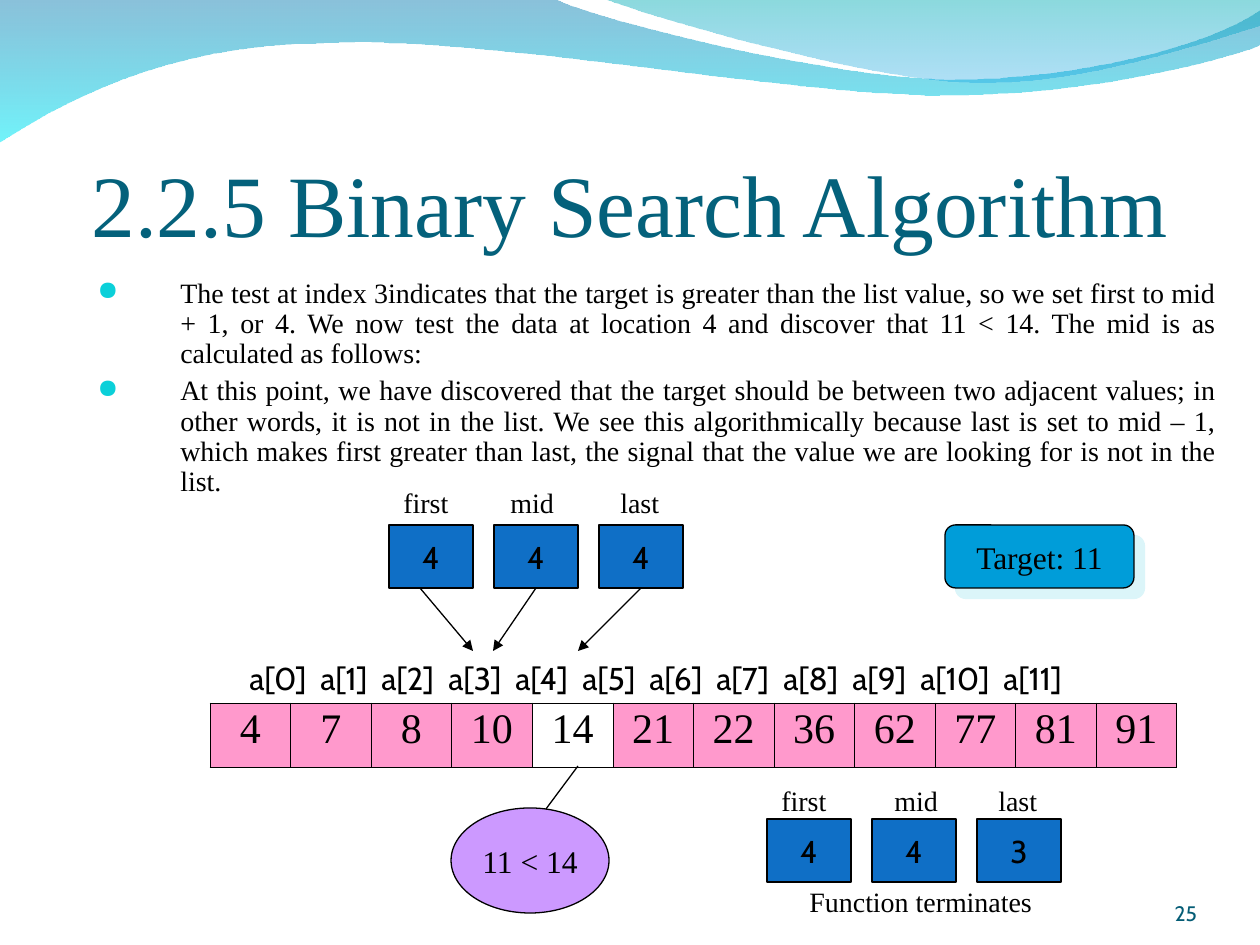
import lxml.etree
import pptx
import pptx.dml.color
import pptx.enum.shapes
import pptx.enum.text
import pptx.oxml.ns
import pptx.util
from dataclasses import dataclass

qn = pptx.oxml.ns.qn
ALIGN = pptx.enum.text.PP_ALIGN
ANCHOR = pptx.enum.text.MSO_ANCHOR
SHAPE = pptx.enum.shapes.MSO_SHAPE
rgb = pptx.dml.color.RGBColor.from_string


@dataclass
class Theme:
    serif: str = "Times New Roman"
    sans: str = "Cabin"
    symbol: str = "OpenSymbol"
    ink: str = "000000"
    title: str = "04617B"
    number: str = "045C75"
    bullet: str = "0BD0D9"
    box: str = "0F6FC6"
    target: str = "009DD9"
    shadow: str = "DBF5F9"
    bubble: str = "CC99FF"
    cell: str = "FF99CC"
    title_size: int = 50
    cell_size: int = 24
    shape_size: int = 18
    text_size: int = 16
    number_size: int = 12


theme = Theme()


def px(count):
    return round(count * 914400 / 126)


def write(frame, text, size, font, color=theme.ink, align=ALIGN.LEFT,
          anchor=ANCHOR.TOP, wrap=False):
    frame.text = text
    frame.word_wrap = wrap
    frame.auto_size = pptx.enum.text.MSO_AUTO_SIZE.NONE
    frame.vertical_anchor = anchor
    for para in frame.paragraphs:
        para.alignment = align
        for span in para.runs:
            span.font.size = pptx.util.Pt(size)
            span.font.name = font
            span.font.color.rgb = rgb(color)


deck = pptx.Presentation()
deck.slide_width, deck.slide_height = px(1260), px(945)
page = deck.slides.add_slide(deck.slide_layouts[5])
shapes = page.shapes

# Header waves: start point, then lines (one point) and Bezier curves (three points)
waves = [
    ((0, -1), [[(554, -1)],
               [(600, 21), (837, 79), (955, 79)],
               [(1075, 79), (1207, 47), (1260, 11)],
               [(1261, 45)],
               [(1239, 55), (1096, 96), (940, 95)],
               [(784, 95), (481, 35), (324, 43)],
               [(163, 44), (58, 105), (-1, 142)]],
     [("0079AF", 46), ("00EBF8", 56)]),
    ((604, -1), [[(641, 14), (859, 78), (969, 82)],
                 [(1079, 87), (1211, 40), (1260, 26)],
                 [(1260, 0)]],
     [("00ADB6", 46), ("009BE5", 31)]),
]
for start, segments, stops in waves:
    builder = shapes.build_freeform(px(start[0]), px(start[1]), scale=1.0)
    builder.add_line_segments([(px(x), px(y)) for segment in segments for x, y in segment],
                              close=True)
    wave = builder.convert_to_shape()
    steps = iter(list(wave.element.iter(qn("a:lnTo"))))
    for segment in segments:
        group = [next(steps) for _ in segment]
        if len(group) == 3:
            curve = lxml.etree.Element(qn("a:cubicBezTo"))
            group[0].addprevious(curve)
            for step in group:
                curve.append(step[0])
                step.getparent().remove(step)
    wave.shadow.inherit = False
    wave.line.fill.background()
    wave.fill.gradient()
    wave.fill.gradient_angle = 270
    for stop, (color, _) in zip(wave.fill.gradient_stops, stops):
        stop.color.rgb = rgb(color)
    for node, (_, opacity) in zip(wave.element.spPr.iter(qn("a:srgbClr")), stops):
        lxml.etree.SubElement(node, qn("a:alpha")).set("val", str(opacity * 1000))

# Title, in front of the waves
title = shapes.title
shapes.element.append(title.element)
title.left, title.top, title.width, title.height = px(63), px(98), px(1134), px(157)
frame = title.text_frame
write(frame, "2.2.5 Binary Search Algorithm", theme.title_size, theme.serif,
      theme.title, ALIGN.CENTER, ANCHOR.BOTTOM, wrap=True)
frame.margin_left = frame.margin_right = frame.margin_bottom = 0
frame.margin_top = px(6)

# Bulleted explanation
body = shapes.add_textbox(px(85), px(273), px(1144), px(567)).text_frame
write(body, "The test at index 3indicates that the target is greater than the list value, "
      "so we set first to mid + 1, or 4. We now test the data at location 4 and discover "
      "that 11 < 14. The mid is as calculated as follows:\n"
      "At this point, we have discovered that the target should be between two adjacent "
      "values; in other words, it is not in the list. We see this algorithmically because "
      "last is set to mid – 1, which makes first greater than last, the signal that the "
      "value we are looking for is not in the list.",
      theme.text_size, theme.serif, align=ALIGN.JUSTIFY, wrap=True)
for index, para in enumerate(body.paragraphs):
    para.line_spacing = 0.9
    para.space_before = pptx.util.Pt(4 if index else 0)
    properties = para._p.get_or_add_pPr()
    properties.set("marL", str(px(83)))
    properties.set("indent", str(-px(83)))
    bullet_color = lxml.etree.SubElement(properties, qn("a:buClr"))
    lxml.etree.SubElement(bullet_color, qn("a:srgbClr")).set("val", theme.bullet)
    lxml.etree.SubElement(properties, qn("a:buSzPct")).set("val", "95000")
    lxml.etree.SubElement(properties, qn("a:buFont")).set("typeface", theme.symbol)
    lxml.etree.SubElement(properties, qn("a:buChar")).set("char", "●")

# Slide number
frame = shapes.add_textbox(px(1092), px(876), px(105), px(50)).text_frame
write(frame, "25", theme.number_size, theme.sans, theme.number, ALIGN.RIGHT, ANCHOR.BOTTOM)
frame.margin_left = frame.margin_top = frame.margin_right = frame.margin_bottom = 0

# Array values, with the tested one left clear
values = [4, 7, 8, 10, 14, 21, 22, 36, 62, 77, 81, 91]
tested = 14
table = shapes.add_table(1, len(values), px(210), px(703), px(967), px(64)).table
table.first_row = table.horz_banding = False
for column, value in enumerate(values):
    table.columns[column].width = px(967) // len(values)
    cell = table.cell(0, column)
    write(cell.text_frame, str(value), theme.cell_size, theme.serif,
          align=ALIGN.CENTER, wrap=True)
    cell.text_frame.paragraphs[0].line_spacing = 0.93
    properties = cell._tc.get_or_add_tcPr()
    for side in "LRTB":
        outer = side in "TB" or (side, column) in (("L", 0), ("R", len(values) - 1))
        border = lxml.etree.SubElement(properties, qn(f"a:ln{side}"))
        border.set("w", str(pptx.util.Pt(0.5 if outer else 0.23)))
        paint = lxml.etree.SubElement(border, qn("a:solidFill"))
        lxml.etree.SubElement(paint, qn("a:srgbClr")).set("val", theme.ink)
    if value == tested:
        cell.fill.background()
    else:
        cell.fill.solid()
        cell.fill.fore_color.rgb = rgb(theme.cell)

# Array indexes, spaced by tab stops
frame = shapes.add_textbox(px(237), px(653), px(919), px(50)).text_frame
write(frame, "\t".join(f"a[{index}]" for index in range(len(values))),
      theme.shape_size, theme.sans)
tabs = lxml.etree.SubElement(frame.paragraphs[0]._p.get_or_add_pPr(), qn("a:tabLst"))
for position in (71, 132, 199, 266, 333, 400, 467, 534, 603, 671, 754):
    tab = lxml.etree.SubElement(tabs, qn("a:tab"))
    tab.set("pos", str(px(position)))
    tab.set("algn", "l")

# Variable boxes, target and comparison bubble
BOX_STEP = 105
groups = [(389, 525, (4, 4, 4)), (767, 819, (4, 4, 3))]
nodes = [(SHAPE.RECTANGLE, left + BOX_STEP * index, top, 84, 63, theme.box, str(value), theme.sans)
         for left, top, numbers in groups for index, value in enumerate(numbers)]
nodes += [
    (SHAPE.ROUNDED_RECTANGLE, 945, 525, 189, 63, theme.target, "Target: 11", theme.serif),
    (SHAPE.OVAL, 451, 808, 158, 105, theme.bubble, "11 < 14", theme.serif),
]
for kind, left, top, width, height, color, text, font in nodes:
    node = shapes.add_shape(kind, px(left), px(top), px(width), px(height))
    node.shadow.inherit = False
    node.fill.solid()
    node.fill.fore_color.rgb = rgb(color)
    node.line.color.rgb = rgb(theme.ink)
    node.line.width = pptx.util.Pt(0.75)
    write(node.text_frame, text, theme.shape_size, font,
          align=ALIGN.CENTER, anchor=ANCHOR.MIDDLE)
    if kind == SHAPE.ROUNDED_RECTANGLE:
        effects = node.element.spPr.find(qn("a:effectLst"))
        shadow = lxml.etree.SubElement(effects, qn("a:outerShdw"), dist=str(pptx.util.Pt(8.5)),
                                       dir=str(45 * 60000), algn="ctr", rotWithShape="0")
        lxml.etree.SubElement(shadow, qn("a:srgbClr")).set("val", theme.shadow)

# Captions
captions = [
    ("first", 391, 479, 69), ("mid", 498, 479, 68), ("last", 608, 479, 64),
    ("first", 769, 777, 69), ("mid", 882, 777, 68), ("last", 986, 777, 64),
    ("Function terminates", 797, 878, 247),
]
for text, left, top, width in captions:
    caption = shapes.add_textbox(px(left), px(top), px(width), px(46))
    write(caption.text_frame, text, theme.text_size, theme.serif)

# Bubble pointer and arrows
lines = [
    (546, 809, 578, 766, False),
    (420, 588, 473, 651, True),
    (536, 588, 493, 651, True),
    (641, 588, 578, 651, True),
]
for x1, y1, x2, y2, arrow in lines:
    line = shapes.add_connector(pptx.enum.shapes.MSO_CONNECTOR.STRAIGHT,
                                px(x1), px(y1), px(x2), px(y2))
    line.line.color.rgb = rgb(theme.ink)
    line.line.width = pptx.util.Pt(0.75)
    if arrow:
        lxml.etree.SubElement(line.line._get_or_add_ln(), qn("a:tailEnd")).set("type", "triangle")
    lxml.etree.SubElement(line.element.spPr, qn("a:effectLst"))

deck.save("out.pptx")
